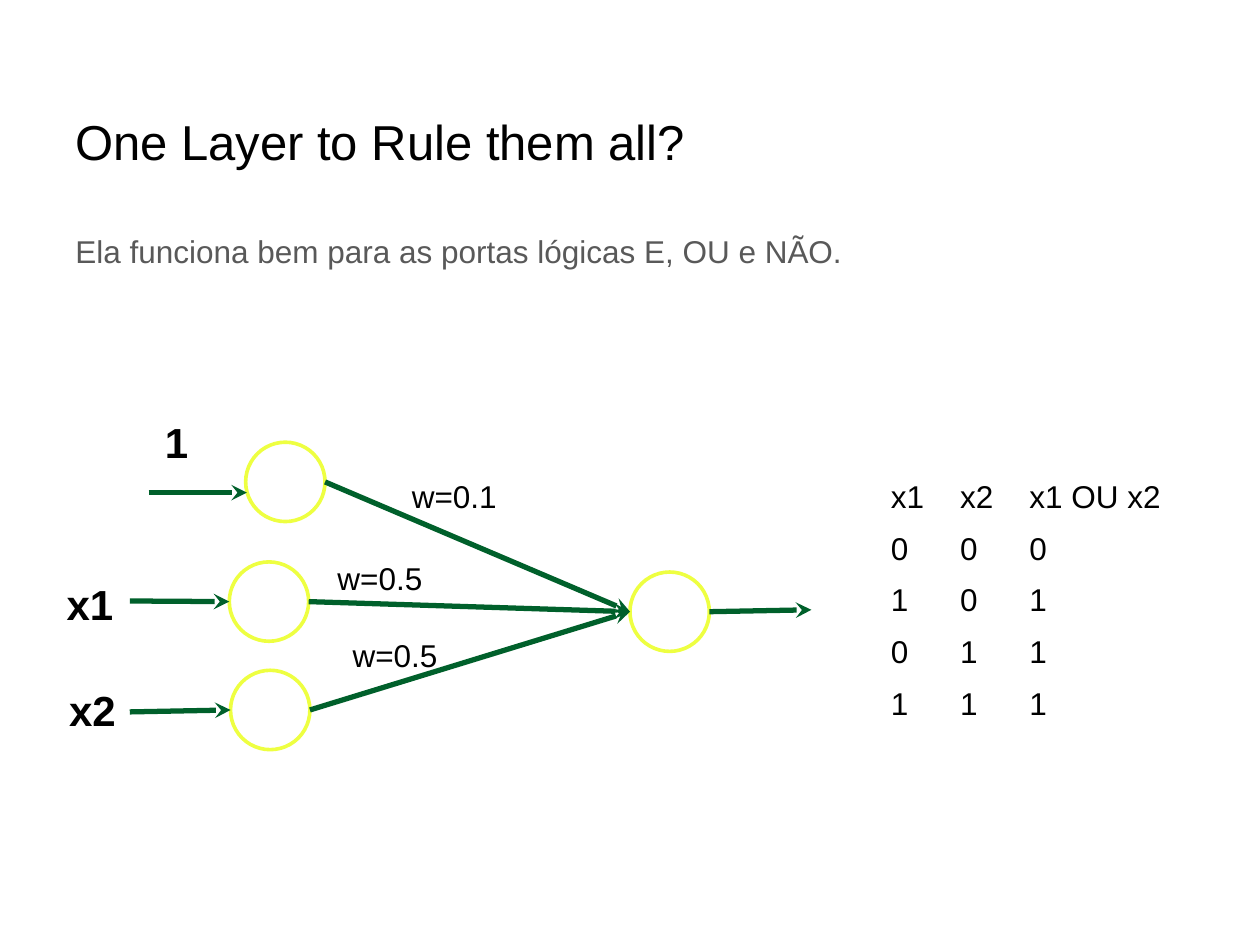
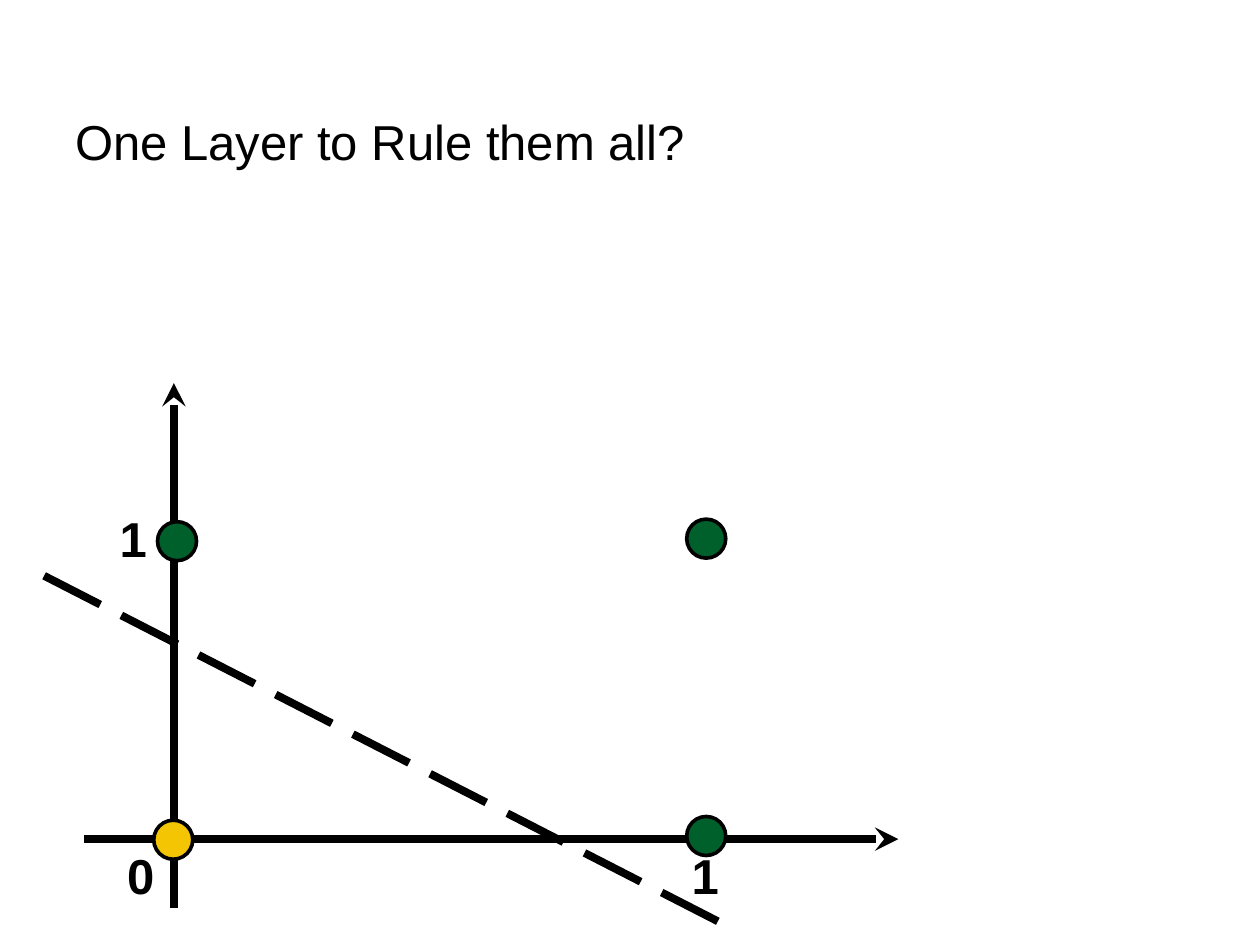
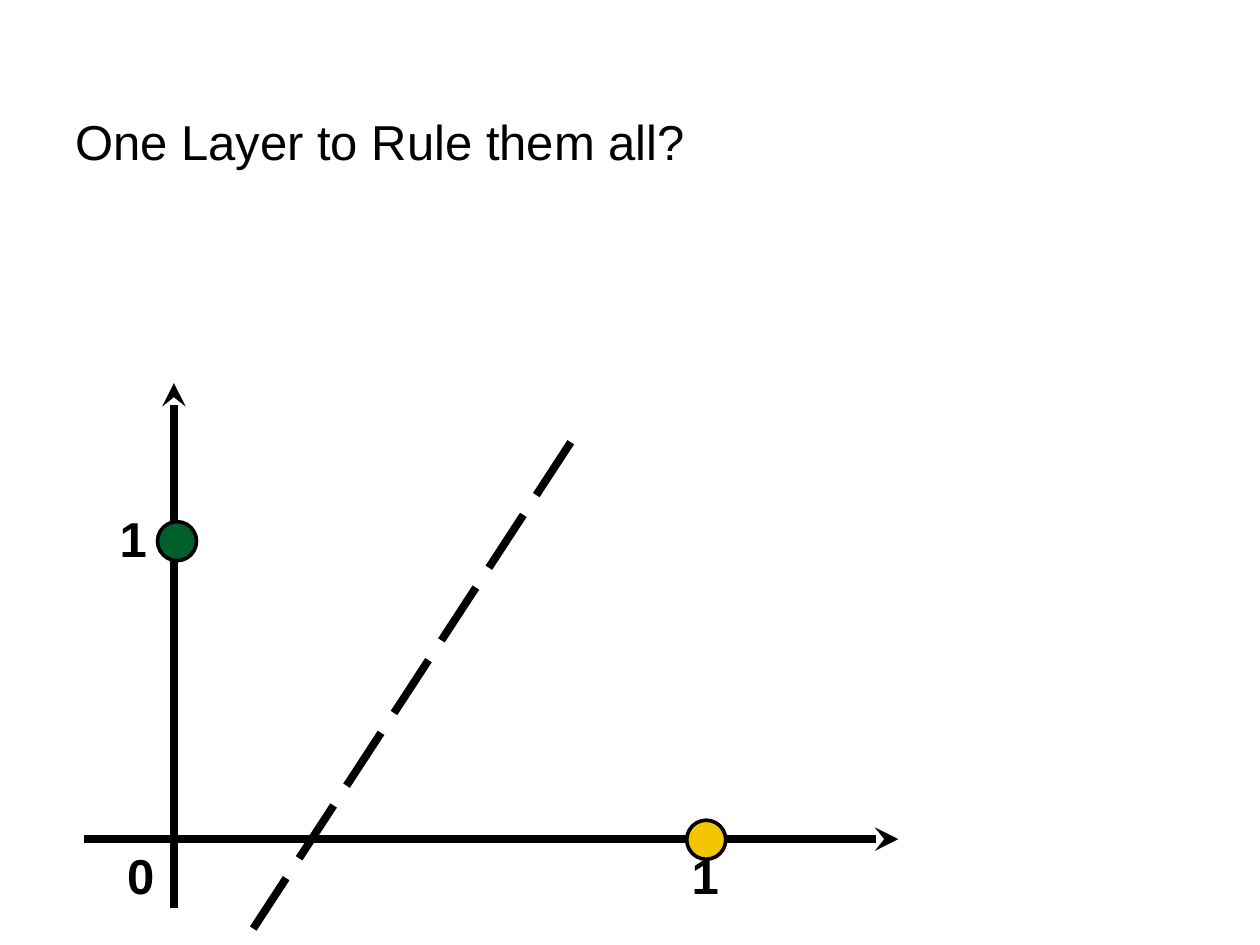
from dataclasses import dataclass
from typing import NamedTuple

from lxml.etree import SubElement
from pptx import Presentation
from pptx.dml.color import RGBColor
from pptx.enum.dml import MSO_LINE
from pptx.enum.shapes import MSO_CONNECTOR, MSO_SHAPE
from pptx.enum.text import MSO_ANCHOR, PP_ALIGN
from pptx.oxml.ns import qn
from pptx.shapes.connector import Connector
from pptx.slide import Slide
from pptx.text.text import _Paragraph
from pptx.util import Inches, Pt

SLIDE_WIDTH, SLIDE_HEIGHT = Inches(10), Inches(7.5)
COLUMN, ROW = SLIDE_WIDTH / 10, SLIDE_HEIGHT / 7.5

FONT = "Arial"
COLORS = {
    "black": "000000",
    "white": "FFFFFF",
    "gray": "595959",
    "green": "00602B",
    "amber": "F3C503",
    "yellow": "EEFF41",
}
TITLE = "One Layer to Rule them all?"
OUTLINE = 2.08
SYNAPSE_WEIGHT = 3
AXIS_WEIGHT = 4.5
NEURON_SIZE = 0.63
DOT_SIZE = 0.31


class Point(NamedTuple):
    column: float
    row: float


class Area(NamedTuple):
    column: float
    row: float
    columns: float
    rows: float


@dataclass(frozen=True)
class Label:
    text: str
    area: Area
    size: int
    bold: bool = False
    color: str = "black"


@dataclass(frozen=True)
class Neuron:
    corner: Point

    @property
    def entry(self) -> Point:
        return Point(self.corner.column, self.corner.row + NEURON_SIZE / 2)

    @property
    def exit(self) -> Point:
        return Point(self.corner.column + NEURON_SIZE, self.entry.row)


@dataclass(frozen=True)
class Input:
    neuron: Neuron
    source: Point
    target: Point
    name: Label
    weight: Label


@dataclass(frozen=True)
class Dot:
    corner: Point
    color: str


@dataclass(frozen=True)
class Plane:
    dots: tuple[Dot, ...]
    boundary: tuple[Point, Point]


def rgb(color: str) -> RGBColor:
    return RGBColor.from_string(COLORS[color])


def x(columns: float) -> int:
    return round(columns * COLUMN)


def y(rows: float) -> int:
    return round(rows * ROW)


def place(area: Area) -> tuple[int, int, int, int]:
    return x(area.column), y(area.row), x(area.columns), y(area.rows)


def write(paragraph: _Paragraph, text: str, size: int, bold: bool = False, color: str = "black") -> None:
    run = paragraph.add_run()
    run.text = text
    for attribute, value in {"name": FONT, "size": Pt(size), "bold": bold}.items():
        setattr(run.font, attribute, value)
    run.font.color.rgb = rgb(color)


def draw_label(slide: Slide, label: Label, frame_format: dict | None = None,
               paragraph_format: dict | None = None) -> None:
    frame = slide.shapes.add_textbox(*place(label.area)).text_frame
    paragraph = frame.paragraphs[0]
    for target, settings in ((frame, frame_format), (paragraph, paragraph_format)):
        for attribute, value in (settings or {}).items():
            setattr(target, attribute, value)
    write(paragraph, label.text, label.size, label.bold, label.color)


def draw_circle(slide: Slide, corner: Point, size: float, fill: str, line: str) -> None:
    circle = slide.shapes.add_shape(MSO_SHAPE.OVAL, *place(Area(*corner, size, size)))
    circle.shadow.inherit = False
    circle.fill.solid()
    circle.fill.fore_color.rgb = rgb(fill)
    circle.line.color.rgb = rgb(line)
    circle.line.width = Pt(OUTLINE)


def draw_line(slide: Slide, start: Point, end: Point, color: str, weight: float) -> Connector:
    line = slide.shapes.add_connector(
        MSO_CONNECTOR.STRAIGHT, x(start.column), y(start.row), x(end.column), y(end.row))
    line.line.color.rgb = rgb(color)
    line.line.width = Pt(weight)
    SubElement(line._element.spPr, qn("a:effectLst"))
    return line


def draw_arrow(slide: Slide, start: Point, end: Point, color: str, weight: float) -> None:
    arrow = draw_line(slide, start, end, color, weight)
    SubElement(arrow.line._get_or_add_ln(), qn("a:tailEnd"), type="stealth")


def draw_truth_table(slide: Slide, corner: Point, widths: tuple[float, ...], row_height: float,
                     rows: tuple[tuple[str, ...], ...]) -> None:
    area = Area(*corner, sum(widths), row_height * len(rows))
    table = slide.shapes.add_table(len(rows), len(widths), *place(area)).table
    table.first_row = table.horz_banding = False
    for column, width in zip(table.columns, widths):
        column.width = x(width)
    for row, texts in zip(table.rows, rows):
        row.height = y(row_height)
        for cell, text in zip(row.cells, texts):
            cell.fill.background()
            write(cell.text_frame.paragraphs[0], text, 18)


def draw_network(slide: Slide) -> None:
    for entry in INPUTS:
        draw_circle(slide, entry.neuron.corner, NEURON_SIZE, "white", "yellow")
    draw_circle(slide, OUTPUT.corner, NEURON_SIZE, "white", "yellow")
    for entry in INPUTS:
        draw_arrow(slide, entry.source, entry.target, "green", SYNAPSE_WEIGHT)
        draw_arrow(slide, entry.neuron.exit, OUTPUT.entry, "green", SYNAPSE_WEIGHT)
        draw_label(slide, entry.name)
        draw_label(slide, entry.weight)
    draw_arrow(slide, OUTPUT.exit, Point(6.44, 4.84), "green", SYNAPSE_WEIGHT)


def draw_plane(slide: Slide, plane: Plane) -> None:
    for start, end in AXES:
        draw_arrow(slide, start, end, "black", AXIS_WEIGHT)
    for dot in plane.dots:
        draw_circle(slide, dot.corner, DOT_SIZE, dot.color, "black")
    boundary = draw_line(slide, *plane.boundary, "black", AXIS_WEIGHT)
    boundary.line.dash_style = MSO_LINE.LONG_DASH
    for tick in TICKS:
        draw_label(slide, tick)


def input_name(text: str, column: float, row: float, columns: float = 0.58) -> Label:
    return Label(text, Area(column, row, columns, 0.5), 24, bold=True)


def weight_label(text: str, column: float, row: float) -> Label:
    return Label(text, Area(column, row, 0.88, 0.4), 18)


def tick_label(text: str, column: float, row: float) -> Label:
    return Label(text, Area(column, row, 0.42, 0.57), 28, bold=True)


HEADING = Label(TITLE, Area(0.5, 0.58, 9, 1.08), 28)
INTRO = Label("Ela funciona bem para as portas lógicas E, OU e NÃO.",
              Area(0.5, 1.75, 9, 5.33), 18, color="gray")

BIAS, FIRST, SECOND, OUTPUT = (
    Neuron(Point(*corner)) for corner in ((1.95, 3.51), (1.82, 4.46), (1.83, 5.32), (5, 4.54)))
INPUTS = (
    Input(BIAS, Point(1.18, 3.91), Point(1.96, 3.91),
          input_name("1", 1.21, 3.26, 0.39), weight_label("w=0.1", 3.17, 3.74)),
    Input(FIRST, Point(1.03, 4.77), FIRST.entry,
          input_name("x1", 0.43, 4.54), weight_label("w=0.5", 2.58, 4.39)),
    Input(SECOND, Point(1.03, 5.65), SECOND.entry,
          input_name("x2", 0.45, 5.38), weight_label("w=0.5", 2.7, 5)),
)
OR_GATE = (
    ("x1", "x2", "x1 OU x2"),
    *((str(a), str(b), str(a | b)) for b in (0, 1) for a in (0, 1)),
)

AXES = (
    (Point(1.38, 7.21), Point(1.38, 3.04)),
    (Point(0.67, 6.66), Point(7.13, 6.66)),
)
TICKS = (tick_label("0", 0.91, 6.66), tick_label("1", 0.85, 3.99), tick_label("1", 5.39, 6.66))
UPPER_LEFT = Dot(Point(1.25, 4.14), "green")
PLANES = (
    Plane(
        (UPPER_LEFT, Dot(Point(1.22, 6.51), "amber"),
         Dot(Point(5.45, 6.48), "green"), Dot(Point(5.45, 4.12), "green")),
        (Point(0.35, 4.57), Point(5.81, 7.37)),
    ),
    Plane(
        (UPPER_LEFT, Dot(Point(5.45, 6.51), "amber")),
        (Point(4.53, 3.51), Point(2.01, 7.37)),
    ),
)


def main() -> None:
    deck = Presentation()
    deck.slide_width, deck.slide_height = SLIDE_WIDTH, SLIDE_HEIGHT
    blank = deck.slide_layouts[6]

    def titled_slide() -> Slide:
        slide = deck.slides.add_slide(blank)
        draw_label(slide, HEADING, {"word_wrap": True, "vertical_anchor": MSO_ANCHOR.MIDDLE})
        return slide

    gate = titled_slide()
    draw_label(gate, INTRO, {"word_wrap": True},
               {"alignment": PP_ALIGN.JUSTIFY, "line_spacing": 1.15, "space_after": Pt(12)})
    draw_network(gate)
    draw_truth_table(gate, Point(6.97, 3.76), (0.55, 0.55, 1.34), 0.41, OR_GATE)

    for plane in PLANES:
        draw_plane(titled_slide(), plane)

    deck.save("out.pptx")


if __name__ == "__main__":
    main()
